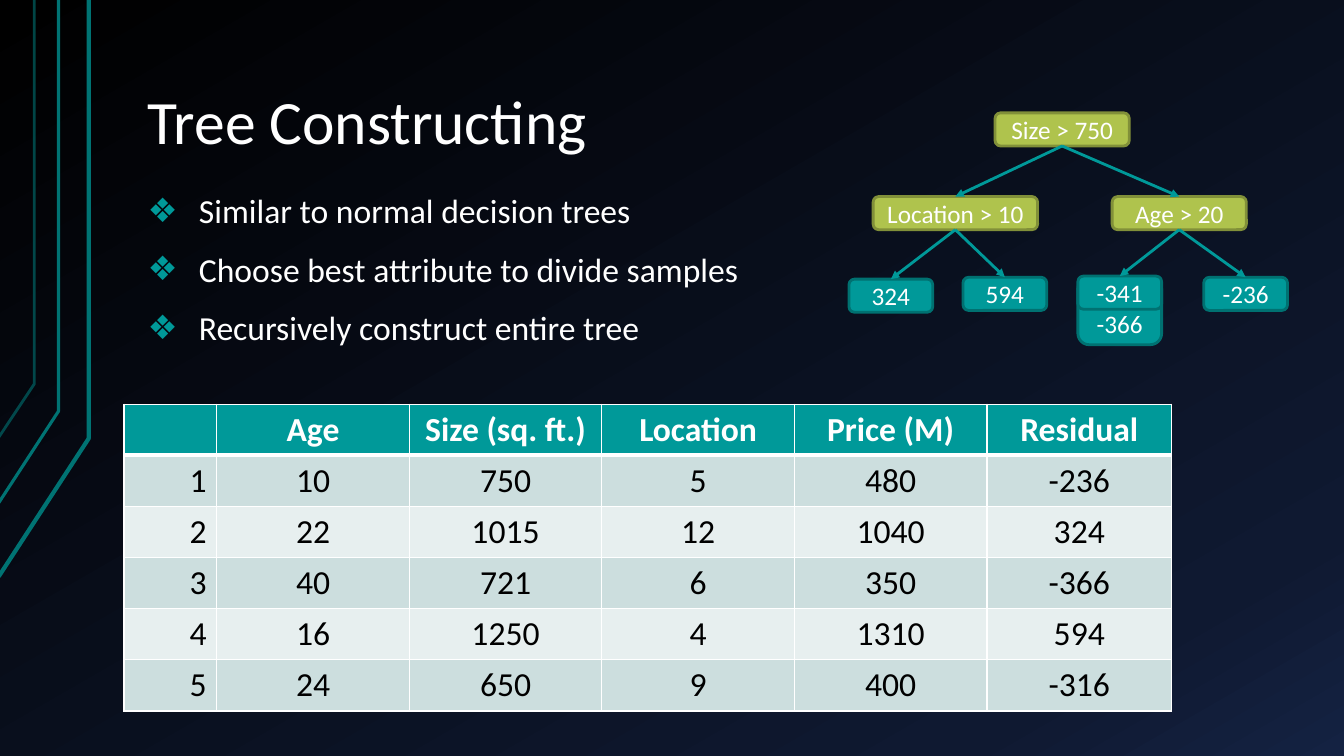
from copy import deepcopy
from dataclasses import dataclass

from lxml import etree
from pptx import Presentation
from pptx.dml.color import RGBColor
from pptx.enum.shapes import MSO_CONNECTOR, MSO_SHAPE
from pptx.enum.text import MSO_ANCHOR, MSO_AUTO_SIZE, PP_ALIGN
from pptx.oxml.ns import qn
from pptx.util import Inches, Pt

ROUNDED = MSO_SHAPE.ROUNDED_RECTANGLE
STRAIGHT = MSO_CONNECTOR.STRAIGHT
TOP, MIDDLE, BOTTOM = MSO_ANCHOR.TOP, MSO_ANCHOR.MIDDLE, MSO_ANCHOR.BOTTOM
LEFT, CENTER, RIGHT = PP_ALIGN.LEFT, PP_ALIGN.CENTER, PP_ALIGN.RIGHT
NO_AUTOFIT = MSO_AUTO_SIZE.NONE
TOP_SITE, BOTTOM_SITE = 0, 2

FONT = "Calibri"
COLORS = {
    "white": "FFFFFF", "black": "000000", "navy": "0F1931", "blue": "142242",
    "teal": "009999", "teal_edge": "007171", "stripe": "007373",
    "lime": "AFC34D", "lime_edge": "819039",
    "odd_row": "CCDEDE", "even_row": "E7EFEF",
}
BULLETS = [
    "Similar to normal decision trees",
    "Choose best attribute to divide samples",
    "Recursively construct entire tree",
]
SAMPLES = [
    ["", "Age", "Size (sq. ft.)", "Location", "Price (M)"],
    ["1", "10", "750", "5", "480"],
    ["2", "22", "1015", "12", "1040"],
    ["3", "40", "721", "6", "350"],
    ["4", "16", "1250", "4", "1310"],
    ["5", "24", "650", "9", "400"],
]
RESIDUALS = [["Residual"], ["-236"], ["324"], ["-366"], ["594"], ["-316"]]

# Text, then left, top, width and height in percent of the tree's box
TESTS = [
    ("Size > 750", 33.3, 0, 30.6, 14.3),
    ("Location > 10", 5.5, 36.1, 37.5, 14.3),
    ("Age > 20", 60, 36.1, 30.6, 14.3),
]
LEAVES = [
    ("324", 0, 71.7, 19.1, 14.3),
    ("594", 26, 70.9, 19.1, 14.3),
    ("-366", 52.2, 70.9, 19.1, 29.1),
    ("-341", 52.2, 70.4, 19.1, 14.3),
    ("-236", 80.9, 70.9, 19.1, 14.3),
]
BRANCHES = [
    ("Size > 750", "Location > 10"), ("Size > 750", "Age > 20"),
    ("Location > 10", "324"), ("Location > 10", "594"),
    ("Age > 20", "-341"), ("Age > 20", "-236"),
]
# Foot, bend x and bend y in percent of the slide, width, opacity
STRIPES = [
    (76.27, 6.6, 58, 3, 100),
    (66.53, 4.35, 54.4, 2.25, 100),
    (57.87, 2.55, 50.8, 2, 60),
]


@dataclass
class Box:
    left: int
    top: int
    width: int
    height: int

    def region(self, x, y, w, h):
        """The box inside this one, given in percent of its size."""
        return Box(int(self.left + self.width * x / 100),
                   int(self.top + self.height * y / 100),
                   int(self.width * w / 100), int(self.height * h / 100))

    def frame(self):
        return self.left, self.top, self.width, self.height


def rgb(name):
    return RGBColor.from_string(COLORS[name])


def style_text(paragraph, size, color="white", align=LEFT, bold=False):
    paragraph.alignment = align
    font = paragraph.font
    font.name, font.size, font.bold = FONT, Pt(size), bold
    font.color.rgb = rgb(color)


def paint_background(slide):
    fill = slide.background.fill
    fill.gradient()
    fill.gradient_angle = 300
    stop_list = slide.element.find(".//" + qn("a:gsLst"))
    stop_list.append(deepcopy(stop_list[-1]))
    shades = [(0, "black"), (0.85, "navy"), (1, "blue")]
    for stop, (position, color) in zip(fill.gradient_stops, shades):
        stop.position = position
        stop.color.rgb = rgb(color)


def draw_stripes(slide, box):
    for foot, bend_x, bend_y, width, opacity in STRIPES:
        shares = [(-0.1, foot), (bend_x, bend_y), (bend_x, 0)]
        points = [(box.left + box.width * x / 100, box.top + box.height * y / 100)
                  for x, y in shares]
        builder = slide.shapes.build_freeform(*points[0])
        builder.add_line_segments(points[1:], close=False)
        stripe = builder.convert_to_shape()
        stripe.shadow.inherit = False
        stripe.fill.background()
        stripe.line.color.rgb = rgb("stripe")
        stripe.line.width = Pt(width)
        if opacity < 100:
            color = stripe.element.find(".//" + qn("a:ln")).find(".//" + qn("a:srgbClr"))
            etree.SubElement(color, qn("a:alpha"), val=str(opacity * 1000))


def place_text(placeholder, box, lines, anchor):
    """Move a placeholder, fill it and return its paragraphs."""
    placeholder.left, placeholder.top, placeholder.width, placeholder.height = box.frame()
    frame = placeholder.text_frame
    frame.text = "\n".join(lines)
    frame.auto_size = NO_AUTOFIT
    frame.vertical_anchor = anchor
    frame.margin_left = frame.margin_right = Inches(0.13)
    frame.margin_top = frame.margin_bottom = Inches(0.07)
    for paragraph in frame.paragraphs:
        paragraph.line_spacing = 0.9
    return frame.paragraphs


def write_title(slide, box):
    for paragraph in place_text(slide.shapes.title, box, ["Tree Constructing"], BOTTOM):
        style_text(paragraph, 44)


def write_bullets(slide, box):
    indent = Inches(0.51)
    for paragraph in place_text(slide.placeholders[1], box, BULLETS, TOP):
        style_text(paragraph, 24)
        paragraph.space_before = Pt(16)
        properties = paragraph._p.get_or_add_pPr()
        properties.set("marL", str(indent))
        properties.set("indent", str(-indent))
        bullet_color = etree.SubElement(properties, qn("a:buClr"))
        etree.SubElement(bullet_color, qn("a:srgbClr"), val=COLORS["teal"])
        etree.SubElement(properties, qn("a:buChar"), char="❖")
        # The schema wants the run defaults after the bullet
        properties.append(properties.find(qn("a:defRPr")))


def add_node(slide, box, label, fill, edge):
    node = slide.shapes.add_shape(ROUNDED, *box.frame())
    node.shadow.inherit = False
    node.fill.solid()
    node.fill.fore_color.rgb = rgb(fill)
    node.line.color.rgb = rgb(edge)
    node.line.width = Pt(2)
    frame = node.text_frame
    frame.text = label
    frame.vertical_anchor = MIDDLE
    style_text(frame.paragraphs[0], 18, align=CENTER)
    return node


def draw_tree(slide, box):
    nodes = {}
    for kind, fill, edge in [(TESTS, "lime", "lime_edge"), (LEAVES, "teal", "teal_edge")]:
        for label, *shares in kind:
            nodes[label] = add_node(slide, box.region(*shares), label, fill, edge)
    lower_half = nodes["-366"].text_frame
    lower_half.vertical_anchor = BOTTOM
    lower_half.margin_bottom = Inches(0.03)
    for parent, child in BRANCHES:
        branch = slide.shapes.add_connector(STRAIGHT, 0, 0, 0, 0)
        branch.begin_connect(nodes[parent], BOTTOM_SITE)
        branch.end_connect(nodes[child], TOP_SITE)
        branch.line.color.rgb = rgb("teal")
        branch.line.width = Pt(2)
        outline = branch.element.find(".//" + qn("a:ln"))
        etree.SubElement(outline, qn("a:tailEnd"), type="triangle")
        etree.SubElement(branch.element.spPr, qn("a:effectLst"))


def add_borders(cell, top, bottom):
    properties = cell._tc.get_or_add_tcPr()
    for side, width in [("L", 1), ("R", 1), ("T", top), ("B", bottom)]:
        border = etree.SubElement(properties, qn("a:ln" + side), w=str(Pt(width)))
        fill = etree.SubElement(border, qn("a:solidFill"))
        etree.SubElement(fill, qn("a:srgbClr"), val=COLORS["white"])


def draw_table(slide, box, rows, column_shares, numbered=False):
    table = slide.shapes.add_table(len(rows), len(rows[0]), *box.frame()).table
    for column, share in zip(table.columns, column_shares):
        column.width = int(box.width * share / sum(column_shares))
    for r, row in enumerate(rows):
        header = r == 0
        fill = "teal" if header else "odd_row" if r % 2 else "even_row"
        for c, value in enumerate(row):
            cell = table.cell(r, c)
            cell.text = value
            align = RIGHT if numbered and c == 0 else CENTER
            style_text(cell.text_frame.paragraphs[0], 24,
                       "white" if header else "black", align, header)
            add_borders(cell, 3 if r == 1 else 1, 3 if header else 1)
            cell.fill.solid()
            cell.fill.fore_color.rgb = rgb(fill)


def main():
    deck = Presentation()
    deck.slide_width, deck.slide_height = Inches(13.33), Inches(7.5)
    page = Box(0, 0, deck.slide_width, deck.slide_height)
    slide = deck.slides.add_slide(deck.slide_layouts[1])
    paint_background(slide)
    draw_stripes(slide, page)
    write_title(slide, page.region(10, 4, 85, 17.87))
    write_bullets(slide, page.region(10, 24.8, 85, 65.07))
    draw_tree(slide, page.region(63.17, 14.93, 32.63, 30.67))
    draw_table(slide, page.region(73.44, 53.47, 13.73, 40), RESIDUALS, [1])
    draw_table(slide, page.region(9.23, 53.47, 64.21, 40), SAMPLES,
               [0.92] + [1.91] * 4, numbered=True)
    deck.save("out.pptx")


if __name__ == "__main__":
    main()
